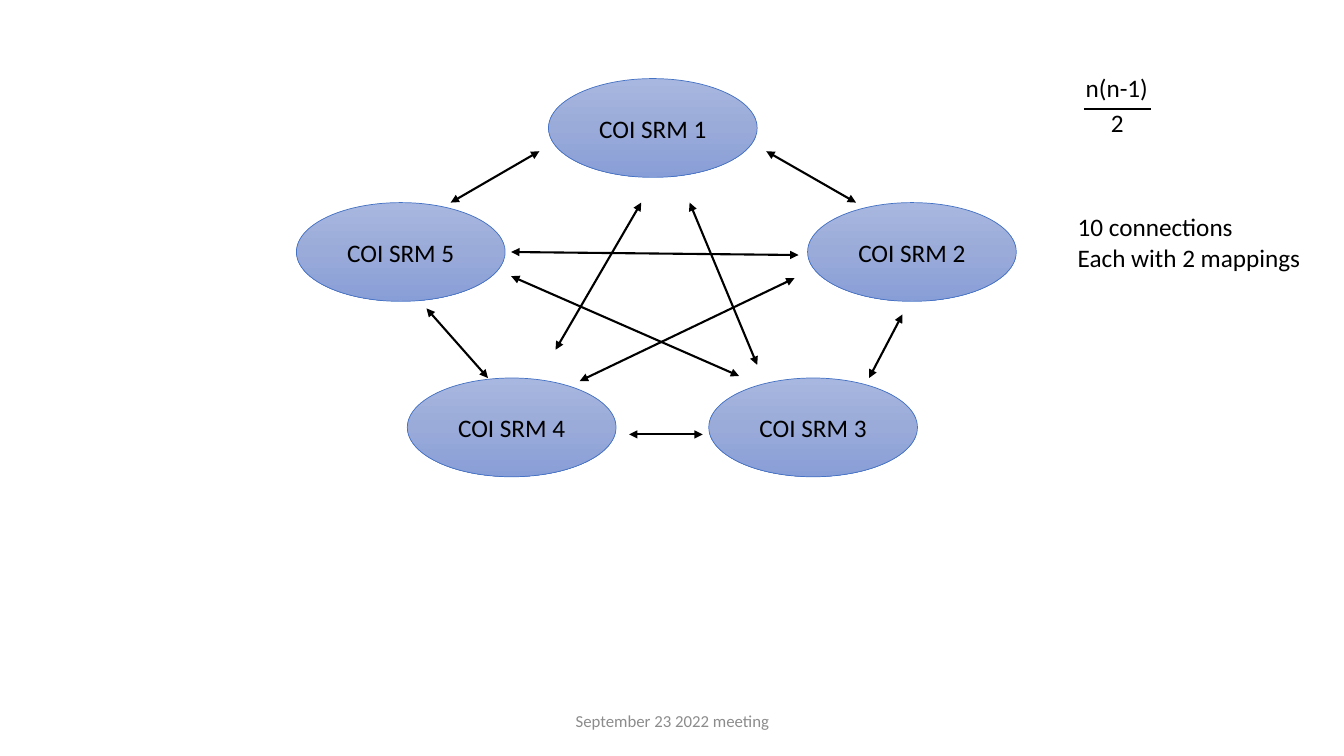
from copy import deepcopy

from lxml import etree
from pptx import Presentation
from pptx import util as u
from pptx.dml.color import RGBColor
from pptx.enum import shapes, text
from pptx.oxml.ns import qn

PX = 9144
NODE_W, NODE_H = 207, 98
NODES = [(544, 78), (801, 201), (703, 375), (404, 375), (294, 201)]
ARROWS = [
    (684, 201, 751, 362), (636, 201, 551, 347), (697, 431, 624, 431),
    (895, 312, 862, 375), (760, 150, 849, 201), (535, 150, 447, 201),
    (423, 306, 484, 375), (792, 253, 507, 250), (788, 276, 575, 378),
    (507, 274, 733, 373),
]


def rgb(value):
    return RGBColor.from_string(value)


class Diagram:
    """Draws the elements of a mapping diagram on one slide."""

    font = "Calibri"
    ink = "000000"
    outline = "4472C4"
    gradient = [(0, "A8B7DF"), (0.5, "9AABD9"), (1, "889ED7")]

    def __init__(self, prs):
        self.s = prs.slides.add_slide(prs.slide_layouts[6])

    def add_lines(self, tf, lines, size=18, color=ink, align=None):
        for i, line in enumerate(lines):
            p = tf.paragraphs[0] if i == 0 else tf.add_paragraph()
            p.alignment = align
            r = p.add_run()
            r.text = line
            r.font.name = self.font
            r.font.size = u.Pt(size)
            r.font.color.rgb = rgb(color)

    def node(self, x, y, label):
        sp = self.s.shapes.add_shape(
            shapes.MSO_SHAPE.OVAL, x * PX, y * PX, NODE_W * PX, NODE_H * PX)
        sp.shadow.inherit = False
        sp.line.color.rgb = rgb(self.outline)
        sp.line.width = u.Pt(0.5)
        sp.fill.gradient()
        sp.fill.gradient_angle = 270
        stops = sp._element.spPr.find(".//" + qn("a:gsLst"))
        stops.append(deepcopy(stops[0]))
        for stop, (position, color) in zip(sp.fill.gradient_stops, self.gradient):
            stop.position = position
            stop.color.rgb = rgb(color)
        tf = sp.text_frame
        tf.vertical_anchor = text.MSO_ANCHOR.MIDDLE
        self.add_lines(tf, [label], align=text.PP_ALIGN.CENTER)

    def line(self, x1, y1, x2, y2, arrows=False):
        sp = self.s.shapes.add_connector(
            shapes.MSO_CONNECTOR.STRAIGHT, x1 * PX, y1 * PX, x2 * PX, y2 * PX)
        sp.line.color.rgb = rgb(self.ink)
        sp.line.width = u.Pt(1.5)
        if arrows:
            ln = sp._element.spPr.find(qn("a:ln"))
            for end in ("a:headEnd", "a:tailEnd"):
                etree.SubElement(ln, qn(end), type="triangle")
        etree.SubElement(sp._element.spPr, qn("a:effectLst"))
        return sp

    def note(self, x, y, w, h, lines):
        sp = self.s.shapes.add_textbox(x * PX, y * PX, w * PX, h * PX)
        tf = sp.text_frame
        tf.word_wrap = False
        tf.auto_size = text.MSO_AUTO_SIZE.SHAPE_TO_FIT_TEXT
        self.add_lines(tf, lines)
        return sp

    def footer(self, x, y, w, h, line):
        sp = self.s.shapes.add_textbox(x * PX, y * PX, w * PX, h * PX)
        tf = sp.text_frame
        tf.word_wrap = True
        tf.vertical_anchor = text.MSO_ANCHOR.MIDDLE
        self.add_lines(tf, [line], 12, "8C8C8C", text.PP_ALIGN.CENTER)

    def group(self, *members):
        self.s.shapes.add_group_shape(members)


def main():
    prs = Presentation()
    prs.slide_width = 1333 * PX
    prs.slide_height = 750 * PX
    diagram = Diagram(prs)
    for number, (x, y) in enumerate(NODES, 1):
        diagram.node(x, y, f"COI SRM {number}")
    for ends in ARROWS:
        diagram.line(*ends, arrows=True)
    diagram.group(
        diagram.note(1067, 67, 83, 40, ["n(n-1)"]),
        diagram.note(1092, 102, 33, 40, ["2"]),
        diagram.line(1075, 108, 1142, 108),
    )
    diagram.note(1059, 205, 244, 71, ["10 connections", "Each with 2 mappings"])
    diagram.footer(442, 695, 450, 40, "September 23 2022 meeting")
    prs.save("out.pptx")


if __name__ == "__main__":
    main()
